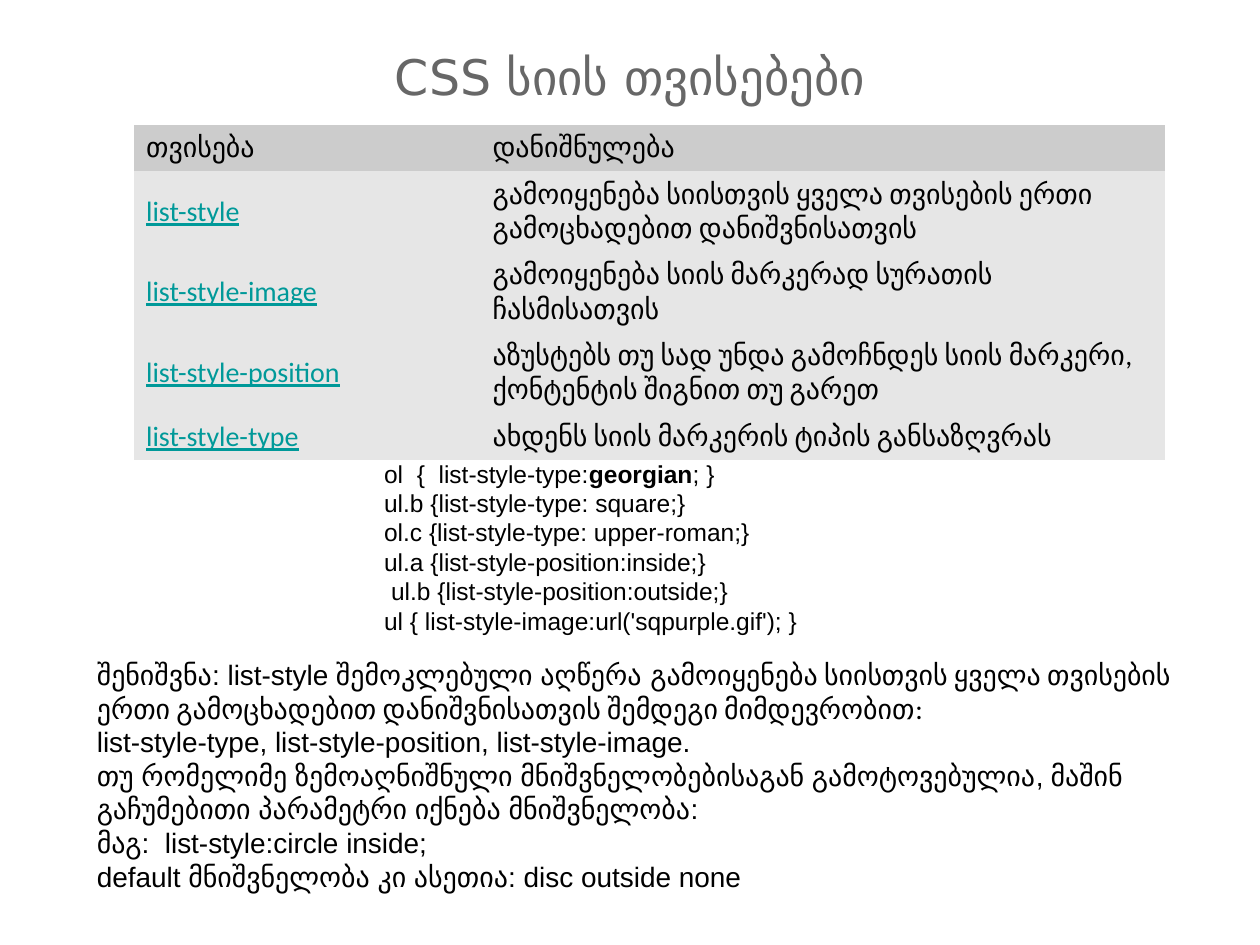
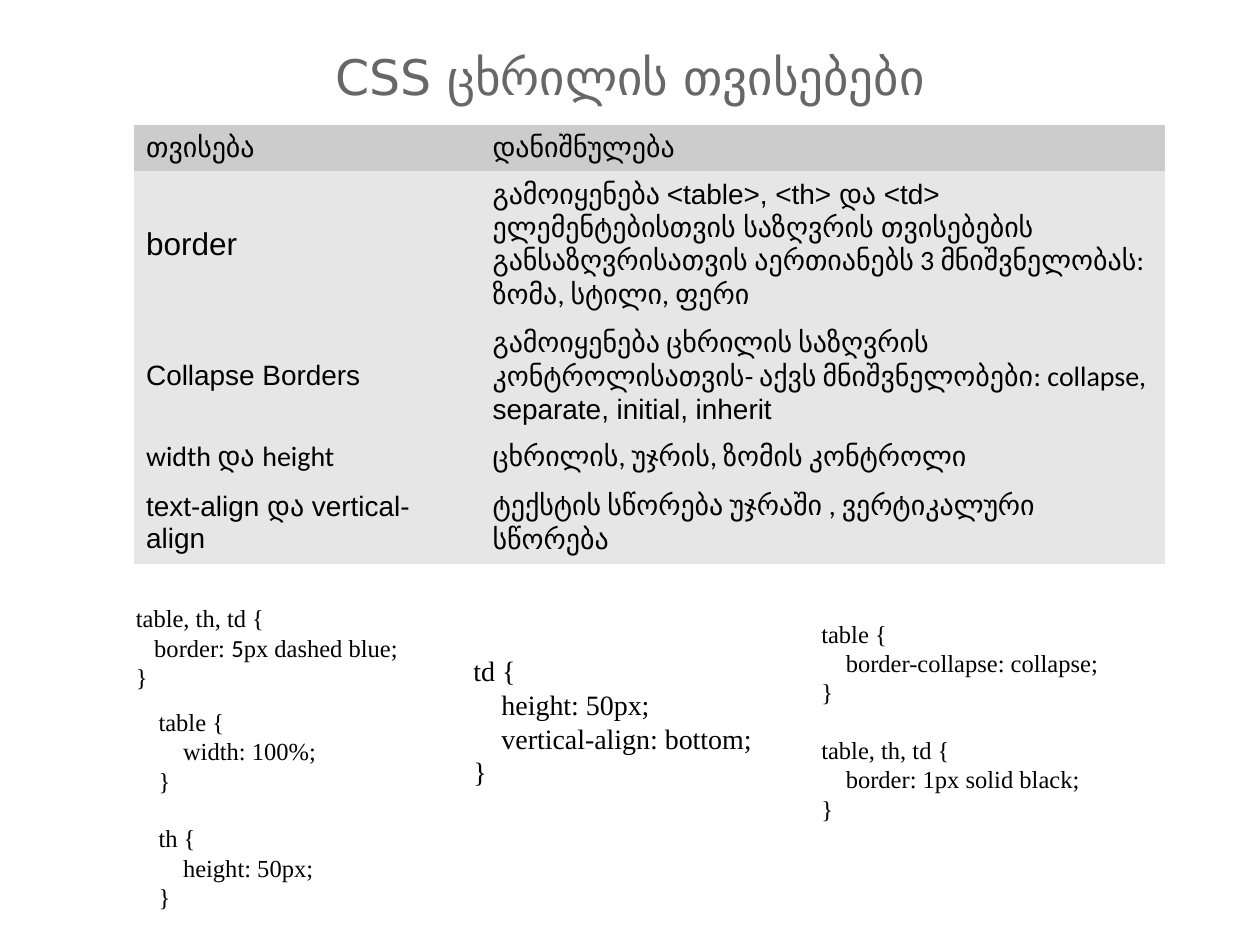
from pptx import Presentation
from pptx.dml.color import RGBColor
from pptx.enum.text import MSO_ANCHOR, PP_ALIGN
from pptx.oxml.ns import qn
from pptx.util import Inches, Pt

MIDDLE, TOP = MSO_ANCHOR.MIDDLE, MSO_ANCHOR.TOP
LEFT, CENTER = PP_ALIGN.LEFT, PP_ALIGN.CENTER

COLORS = {
    "title": "676767",
    "text": "000000",
    "link": "009999",
    "header": "CCCCCC",
    "body": "E6E6E6",
}
SANS, TABLE_FONT, TITLE_FONT, CODE_FONT = "Arial", "Calibri", "DejaVu Sans", "Times New Roman"
PLAIN_GRID = "{2D5ABB26-0587-4C30-8999-92F81FD0307C}"

TITLE_BOX = (0.5, 0.3, 9, 0.61)
TABLE_LEFT, TABLE_TOP = 1.06, 0.99
COLUMN_WIDTHS = (2.75, 5.44)
TABLE_HEADER = ("თვისება", "დანიშნულება")


def rgb(name):
    return RGBColor.from_string(COLORS[name])


def write_para(frame, runs, *, size=16, font=SANS, color="text", bold=False,
               underline=False, align=LEFT, indent=0, before=0):
    """Write one paragraph; a run is a string or a (string, font) pair."""
    para = frame.paragraphs[0]
    if para.runs:
        para = frame.add_paragraph()
    para.alignment = align
    para.space_before = Pt(before)
    if indent:
        properties = para._p.get_or_add_pPr()
        properties.set("marL", str(Pt(indent)))
        properties.set("indent", "0")
    for run in [runs] if isinstance(runs, str) else runs:
        text, run_font = (run, font) if isinstance(run, str) else run
        span = para.add_run()
        span.text = text
        span.font.name = run_font
        span.font.size = Pt(size)
        span.font.bold = bold
        span.font.underline = underline
        span.font.color.rgb = rgb(color)
    return para


def add_frame(page, box, anchor=TOP):
    frame = page.shapes.add_textbox(*map(Inches, box)).text_frame
    frame.word_wrap = True
    frame.vertical_anchor = anchor
    return frame


def add_title(page, text):
    write_para(add_frame(page, TITLE_BOX, MIDDLE), text,
               size=28, font=TITLE_FONT, color="title", align=CENTER)


def add_property_table(page, rows, heights, name_formats):
    """Header row plus (property, purpose) rows; each property has its format."""
    holder = page.shapes.add_table(
        len(heights), len(COLUMN_WIDTHS), Inches(TABLE_LEFT), Inches(TABLE_TOP),
        Inches(sum(COLUMN_WIDTHS)), Inches(sum(heights)))
    table = holder.table
    table.first_row = table.horz_banding = False
    for style in holder._element.iter(qn("a:tableStyleId")):
        style.text = PLAIN_GRID
    for column, width in zip(table.columns, COLUMN_WIDTHS):
        column.width = Inches(width)
    for row, height in zip(table.rows, heights):
        row.height = Inches(height)

    formats = [{}] + name_formats
    for row_index, texts in enumerate([TABLE_HEADER] + rows):
        for column_index, runs in enumerate(texts):
            cell = table.cell(row_index, column_index)
            cell.fill.solid()
            cell.fill.fore_color.rgb = rgb("body" if row_index else "header")
            cell.vertical_anchor = MIDDLE
            look = formats[row_index] if column_index == 0 else {}
            write_para(cell.text_frame, runs, **{"font": TABLE_FONT, **look})


def add_css_rules(page, box, lines, size=14, indent=14):
    """Indent the declarations and set each later rule off by one line."""
    frame = add_frame(page, box)
    for index, line in enumerate(lines):
        text = line if isinstance(line, str) else line[0]
        is_edge = text.endswith("{") or text == "}"
        starts_later_rule = index > 0 and text.endswith("{")
        write_para(frame, line, size=size, font=CODE_FONT,
                   indent=0 if is_edge else indent,
                   before=size * 1.15 if starts_later_rule else 0)


def add_list_examples(page, box):
    frame = add_frame(page, box)
    first = write_para(frame, ["ol  {  list-style-type:", "georgian", "; }"], size=14)
    first.runs[1].font.bold = True
    for line, indent in (
        ("ul.b {list-style-type: square;}", 0),
        ("ol.c {list-style-type: upper-roman;}", 0),
        ("ul.a {list-style-position:inside;}", 0),
        ("ul.b {list-style-position:outside;}", 4),
        ("ul { list-style-image:url('sqpurple.gif'); }", 0),
    ):
        write_para(frame, line, size=14, indent=indent)


def add_shorthand_note(page, box):
    frame = add_frame(page, box)
    for runs in (
        ["შენიშვნა: list-style შემოკლებული აღწერა ",
         ("გამოიყენება სიისთვის ყველა თვისების ერთი გამოცხადებით დანიშვნისათვის "
          "შემდეგი მიმდევრობით:", TABLE_FONT)],
        "list-style-type, list-style-position, list-style-image.",
        "თუ რომელიმე ზემოაღნიშნული მნიშვნელობებისაგან გამოტოვებულია, მაშინ "
        "გაჩუმებითი პარამეტრი იქნება მნიშვნელობა:",
        "მაგ:  list-style:circle inside;",
        "default მნიშვნელობა კი ასეთია: disc outside none",
    ):
        write_para(frame, runs)


def build_list_page(page):
    add_title(page, "CSS სიის თვისებები")
    rows = [
        ("list-style", "გამოიყენება სიისთვის ყველა თვისების ერთი გამოცხადებით დანიშვნისათვის"),
        ("list-style-image", "გამოიყენება სიის მარკერად სურათის ჩასმისათვის"),
        ("list-style-position",
         "აზუსტებს თუ სად უნდა გამოჩნდეს სიის მარკერი, ქონტენტის შიგნით თუ გარეთ"),
        ("list-style-type", "ახდენს სიის მარკერის ტიპის განსაზღვრას"),
    ]
    link = {"color": "link", "underline": True}
    add_property_table(page, rows, (0.37, 0.64, 0.64, 0.64, 0.37), [link] * len(rows))
    add_list_examples(page, (2.95, 3.59, 3.62, 1.51))
    add_shorthand_note(page, (0.67, 5.17, 8.98, 1.99))


def build_table_page(page):
    add_title(page, "CSS ცხრილის თვისებები")
    rows = [
        ("border",
         ["გამოიყენება ",
          ("<table>, <th> და <td> ელემენტებისთვის საზღვრის თვისებების განსაზღვრისათვის", SANS),
          " აერთიანებს 3 მნიშვნელობას: ზომა, სტილი, ფერი"]),
        ("Collapse Borders",
         ["გამოიყენება ცხრილის საზღვრის კონტროლისათვის- აქვს მნიშვნელობები: collapse, ",
          ("separate, initial, inherit", SANS)]),
        (["width ", ("და ", SANS), "height"], "ცხრილის, უჯრის, ზომის კონტროლი"),
        ("text-align და vertical-align", "ტექსტის სწორება უჯრაში , ვერტიკალური სწორება"),
    ]
    sans = {"font": SANS}
    add_property_table(page, rows, (0.37, 1.17, 0.9, 0.39, 0.66),
                       [{"font": SANS, "size": 18}, sans, {}, sans])
    add_css_rules(page, (0.98, 4.74, 2.68, 0.81),
                  ["table, th, td {", ["border: ", ("5", TABLE_FONT), "px dashed blue;"], "}"],
                  indent=10.5)
    add_css_rules(page, (6.42, 4.86, 3.84, 1.75),
                  ["table {", "border-collapse: collapse;", "}",
                   "table, th, td {", "border: 1px solid black;", "}"])
    add_css_rules(page, (1.16, 5.56, 1.71, 1.75),
                  ["table {", "width: 100%;", "}", "th {", "height: 50px;", "}"])
    add_css_rules(page, (3.66, 5.14, 2.5, 1.18),
                  ["td {", "height: 50px;", "vertical-align: bottom;", "}"],
                  size=16, indent=16)


def main():
    deck = Presentation()
    deck.slide_width, deck.slide_height = Inches(10), Inches(7.5)
    blank = deck.slide_layouts[6]
    for build in (build_list_page, build_table_page):
        build(deck.slides.add_slide(blank))
    deck.save("out.pptx")


if __name__ == "__main__":
    main()
